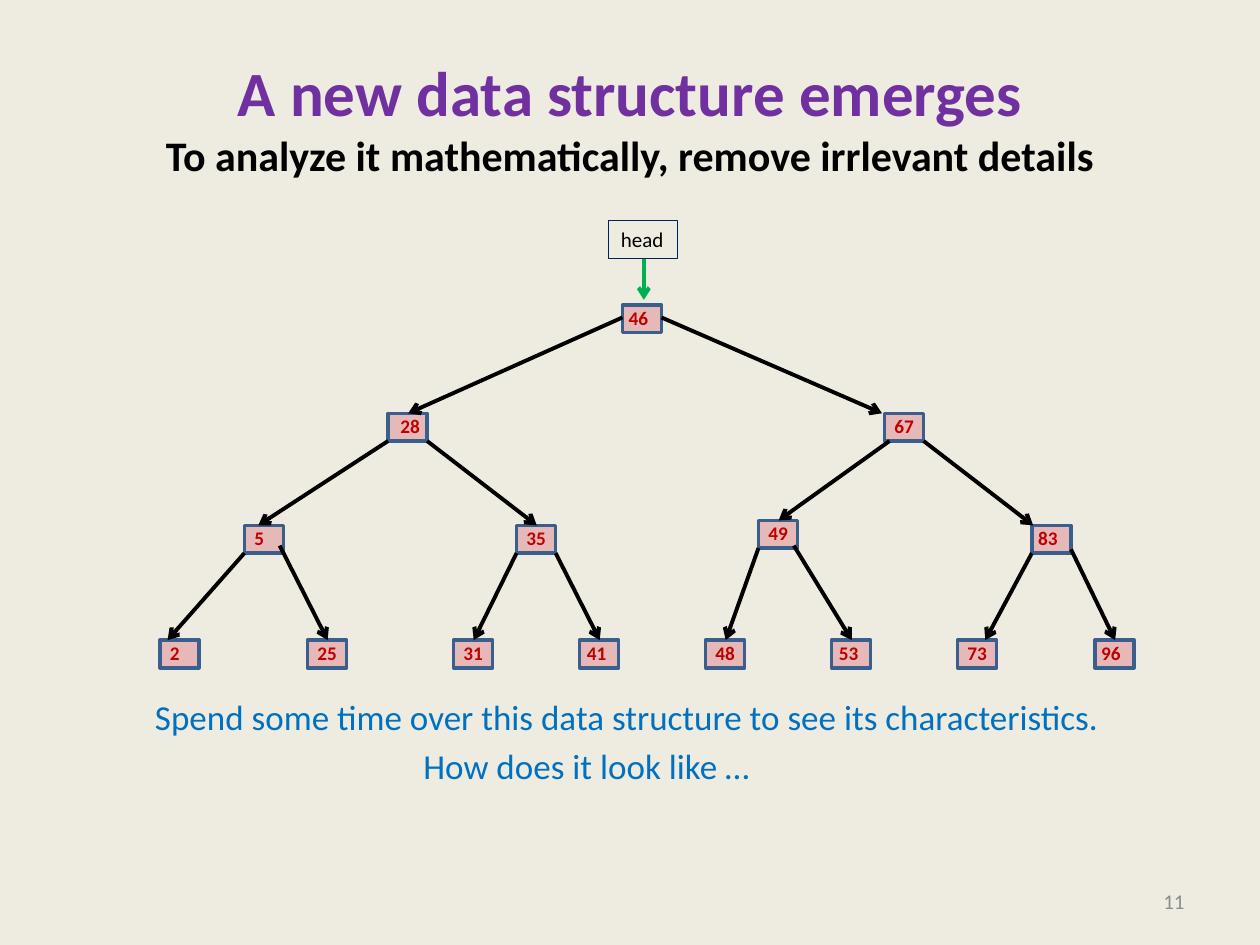
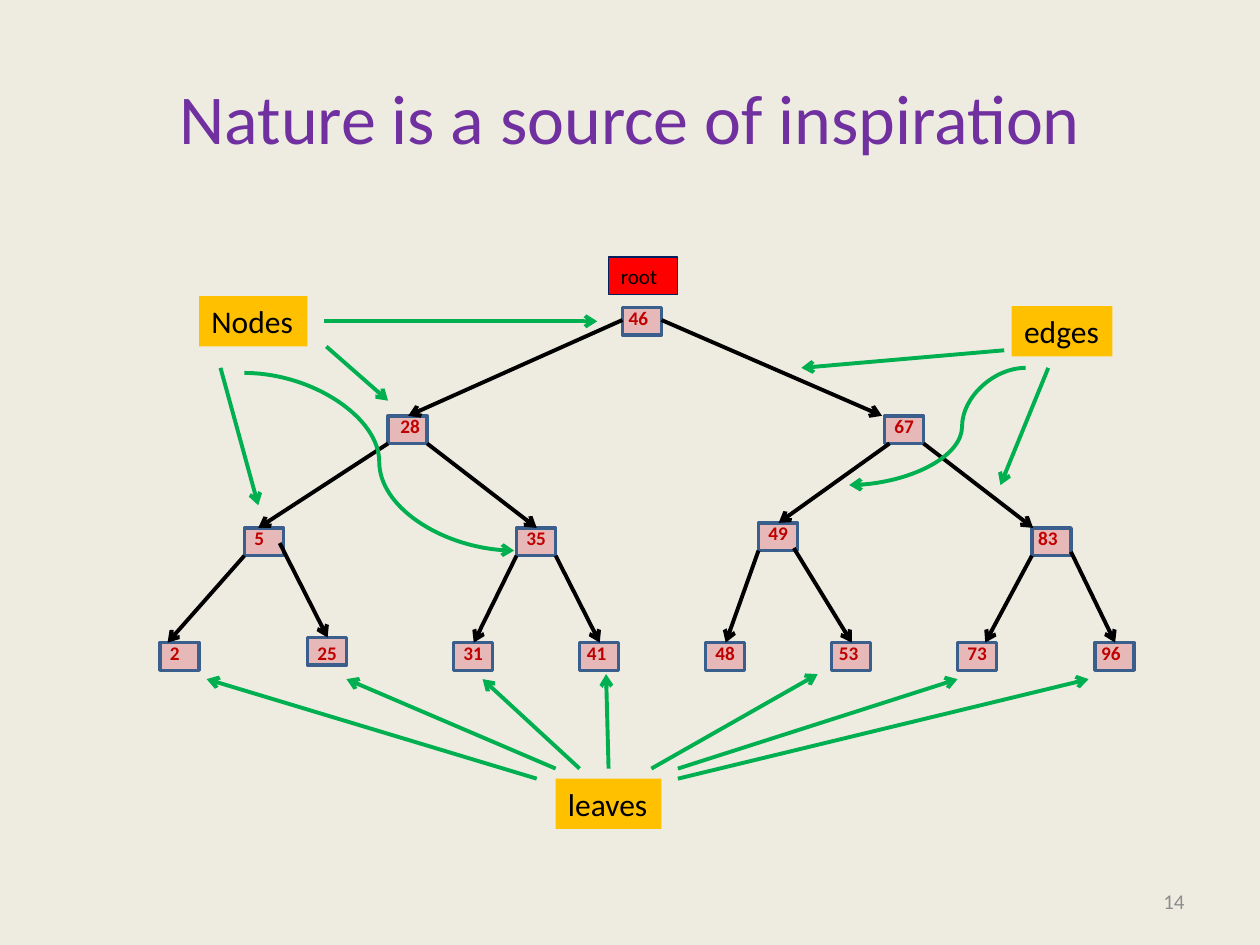
"""Build two slides that present a binary search tree."""
from dataclasses import dataclass

from lxml import etree
from pptx import Presentation
from pptx.dml import color as dml
from pptx.enum import shapes, text
from pptx.oxml import ns
from pptx.util import Inches, Pt


@dataclass(frozen=True)
class Theme:
    font: str = "Calibri"
    paper: str = "EEECE1"
    purple: str = "7030A0"
    ink: str = "000000"
    blue: str = "0070C0"
    grey: str = "8C8C8C"
    node_fill: str = "E6B9B8"
    node_line: str = "3A5F8C"
    key: str = "C00000"
    navy: str = "002060"
    green: str = "00B050"
    red: str = "FF0000"
    amber: str = "FFC000"
    title: int = 40
    strong_title: int = 36
    subtitle: int = 24
    body: int = 20
    callout: int = 18
    small: int = 12
    key_size: int = 11
    arrow: float = 2.25


THEME = Theme()
NODE_W, NODE_H = 0.31, 0.22

# Level order: key, node left, node top, label left.
TREE = [
    (46, 4.94, 2.42, 4.89),
    (28, 3.08, 3.28, 3.08), (67, 7.02, 3.28, 7.00),
    (5, 1.94, 4.17, 1.92), (35, 4.10, 4.17, 4.08),
    (49, 6.02, 4.13, 6.00), (83, 8.19, 4.17, 8.14),
    (2, 1.27, 5.08, 1.25), (25, 2.44, 5.08, 2.42),
    (31, 3.60, 5.08, 3.58), (41, 4.60, 5.08, 4.56),
    (48, 5.60, 5.08, 5.58), (53, 6.60, 5.08, 6.56),
    (73, 7.60, 5.08, 7.58), (96, 8.69, 5.08, 8.64),
]
# Where an edge leaves its parent or meets its child, by child key.
EDGE_EXIT = {28: (0, 0.1), 67: (NODE_W, 0.1), 49: (0.04, NODE_H),
             25: (0.28, 0.16), 53: (0.28, 0.2), 96: (NODE_W, 0.19)}
EDGE_ENTRY = {67: -0.02, 5: 0.11, 83: 0.01, 2: 0.06, 73: 0.22}

LEAF_ARROWS = [
    ((4.26, 6.18), (1.64, 5.39)), ((4.41, 6.1), (2.75, 5.39)),
    ((4.6, 6.1), (3.83, 5.39)), ((4.83, 6.1), (4.81, 5.35)),
    ((5.17, 6.1), (6.49, 5.35)), ((5.38, 6.1), (7.6, 5.39)),
    ((5.38, 6.18), (8.64, 5.39)),
]
EDGE_ARROWS = [((7.97, 2.78), (6.36, 2.92)), ((8.32, 2.92), (7.94, 3.85))]
NODE_ARROWS = [
    ((2.57, 2.55), (4.74, 2.55)), ((2.59, 2.75), (3.08, 3.18)),
    ((1.75, 2.92), (2.05, 4.01)),
]


def rgb(value):
    return dml.RGBColor.from_string(value)


def write(paragraph, words, *, size, color=THEME.ink, bold=False, align=None):
    """Add one formatted run to a paragraph."""
    if align is not None:
        paragraph.alignment = align
    run = paragraph.add_run()
    run.text = words
    run.font.name = THEME.font
    run.font.size = Pt(size)
    run.font.bold = bold
    run.font.color.rgb = rgb(color)


class Deck:
    """Hold the theme, the presentation and the current slide."""

    def __init__(self, theme):
        self.theme = theme
        self.prs = Presentation()
        self.prs.slide_width, self.prs.slide_height = Inches(10), Inches(7.5)
        fill = self.prs.slide_master.background.fill
        fill.solid()
        fill.fore_color.rgb = rgb(theme.paper)
        self.slide = None

    def start(self, layout, number):
        self.slide = self.prs.slides.add_slide(self.prs.slide_layouts[layout])
        footer = self.slide.shapes.add_textbox(
            Inches(7.17), Inches(6.95), Inches(2.33), Inches(0.4)).text_frame
        footer.word_wrap = True
        footer.vertical_anchor = text.MSO_ANCHOR.MIDDLE
        write(footer.paragraphs[0], number, size=self.theme.small,
              color=self.theme.grey, align=text.PP_ALIGN.RIGHT)

    def place(self, holder, left, top, width, height):
        holder.left, holder.top = Inches(left), Inches(top)
        holder.width, holder.height = Inches(width), Inches(height)
        holder.text_frame.auto_size = text.MSO_AUTO_SIZE.NONE
        return holder.text_frame

    def title(self, heading, subtitle=None):
        frame = self.place(self.slide.shapes.title, 0.5, 0.3, 9, 1.25)
        frame.vertical_anchor = text.MSO_ANCHOR.MIDDLE
        line = frame.paragraphs[0]
        size = self.theme.strong_title if subtitle else self.theme.title
        write(line, heading, size=size, color=self.theme.purple,
              bold=bool(subtitle), align=text.PP_ALIGN.CENTER)
        if subtitle:
            line.add_line_break()
            write(line, subtitle, size=self.theme.subtitle, bold=True)

    def body(self, lines):
        frame = self.place(self.slide.placeholders[1], 0.5, 1.75, 9, 4.95)
        frame.vertical_anchor = text.MSO_ANCHOR.BOTTOM
        frame.margin_bottom = Inches(0.46)
        for index, (words, indent) in enumerate(lines):
            line = frame.add_paragraph() if index else frame.paragraphs[0]
            line.space_before = Pt(4 if index else 0)
            props = line._p.get_or_add_pPr()
            props.set("marL", str(Inches(indent)))
            props.set("indent", "0")
            etree.SubElement(props, ns.qn("a:buNone"))
            write(line, words, size=self.theme.body, color=self.theme.blue)

    def box(self, at, fill=None, line=None, line_width=0.75,
            words=None, wrap=True, size=THEME.small):
        shape = self.slide.shapes.add_shape(
            shapes.MSO_SHAPE.RECTANGLE, *map(Inches, at))
        shape.shadow.inherit = False
        if fill:
            shape.fill.solid()
            shape.fill.fore_color.rgb = rgb(fill)
        else:
            shape.fill.background()
        if line:
            shape.line.color.rgb = rgb(line)
            shape.line.width = Pt(line_width)
        else:
            shape.line.fill.background()
        if words:
            shape.text_frame.word_wrap = wrap
            write(shape.text_frame.paragraphs[0], words, size=size,
                  align=text.PP_ALIGN.LEFT)

    def callout(self, words, left, top, width):
        self.box((left, top, width, 0.4), fill=self.theme.amber, words=words,
                 wrap=False, size=self.theme.callout)

    def arrow(self, start, end, color=THEME.green, bend=None):
        kind = shapes.MSO_CONNECTOR.CURVE if bend else shapes.MSO_CONNECTOR.STRAIGHT
        link = self.slide.shapes.add_connector(kind, *map(Inches, (*start, *end)))
        link.line.color.rgb = rgb(color)
        link.line.width = Pt(self.theme.arrow)
        props = link._element.spPr
        etree.SubElement(props.find(ns.qn("a:ln")), ns.qn("a:tailEnd"), type="arrow")
        etree.SubElement(props, ns.qn("a:effectLst"))
        if bend:
            guides = props.find(ns.qn("a:prstGeom")).find(ns.qn("a:avLst"))
            etree.SubElement(guides, ns.qn("a:gd"), name="adj1",
                             fmla=f"val {round(bend * 100000)}")

    def key(self, value, left, top):
        width = 0.36 if value > 9 else 0.28
        frame = self.slide.shapes.add_textbox(
            Inches(left), Inches(top), Inches(width), Inches(0.29)).text_frame
        frame.word_wrap = False
        frame.auto_size = text.MSO_AUTO_SIZE.SHAPE_TO_FIT_TEXT
        write(frame.paragraphs[0], str(value), size=self.theme.key_size,
              color=self.theme.key, bold=True)

    def tree(self, drop=0, nudges=None):
        """Draw nodes, then edges, then keys; drop moves all but the keys."""
        shift = {value: drop for value, *_ in TREE} | (nudges or {})
        for value, left, top, _ in TREE:
            self.box((left, top + shift[value], NODE_W, NODE_H),
                     fill=self.theme.node_fill, line=self.theme.node_line,
                     line_width=2)
        for index, (value, left, top, _) in enumerate(TREE[1:], 1):
            _, parent_left, parent_top, _ = TREE[(index - 1) // 2]
            corner = (0 if index % 2 else NODE_W, NODE_H)
            dx, dy = EDGE_EXIT.get(value, corner)
            self.arrow((parent_left + dx, parent_top + dy + shift[value]),
                       (left + EDGE_ENTRY.get(value, 0.16), top + shift[value]),
                       color=self.theme.ink)
        for value, _, top, label_left in TREE:
            self.key(value, label_left, top - 0.04)


def build_emerging_structure(deck):
    deck.start(layout=1, number="11")
    deck.title("A new data structure emerges",
               "To analyze it mathematically, remove irrlevant details")
    deck.body([
        ("Spend some time over this data structure to see its characteristics.", 0.63),
        ("How does it look like …", 2.76),
    ])
    deck.tree()
    deck.arrow((5.11, 2.05), (5.11, 2.38))
    deck.box((4.83, 1.75, 0.55, 0.3), line=deck.theme.navy, words="head")


def build_inspiration(deck):
    deck.start(layout=5, number="14")
    deck.title("Nature is a source of inspiration")
    deck.tree(drop=0.02, nudges={25: -0.02})
    deck.box((4.83, 2.04, 0.55, 0.3), fill=deck.theme.red,
             line=deck.theme.navy, words="root")
    deck.callout("leaves", 4.41, 6.18, 0.84)
    deck.callout("edges", 8.03, 2.43, 0.8)
    deck.callout("Nodes", 1.58, 2.35, 0.86)
    for start, end in LEAF_ARROWS + EDGE_ARROWS + NODE_ARROWS:
        deck.arrow(start, end)
    deck.arrow((8.14, 2.92), (6.74, 3.85), bend=0.36)
    deck.arrow((1.94, 2.96), (4.08, 4.37), bend=0.5)


def main():
    deck = Deck(THEME)
    build_emerging_structure(deck)
    build_inspiration(deck)
    deck.prs.save("out.pptx")


if __name__ == "__main__":
    main()
